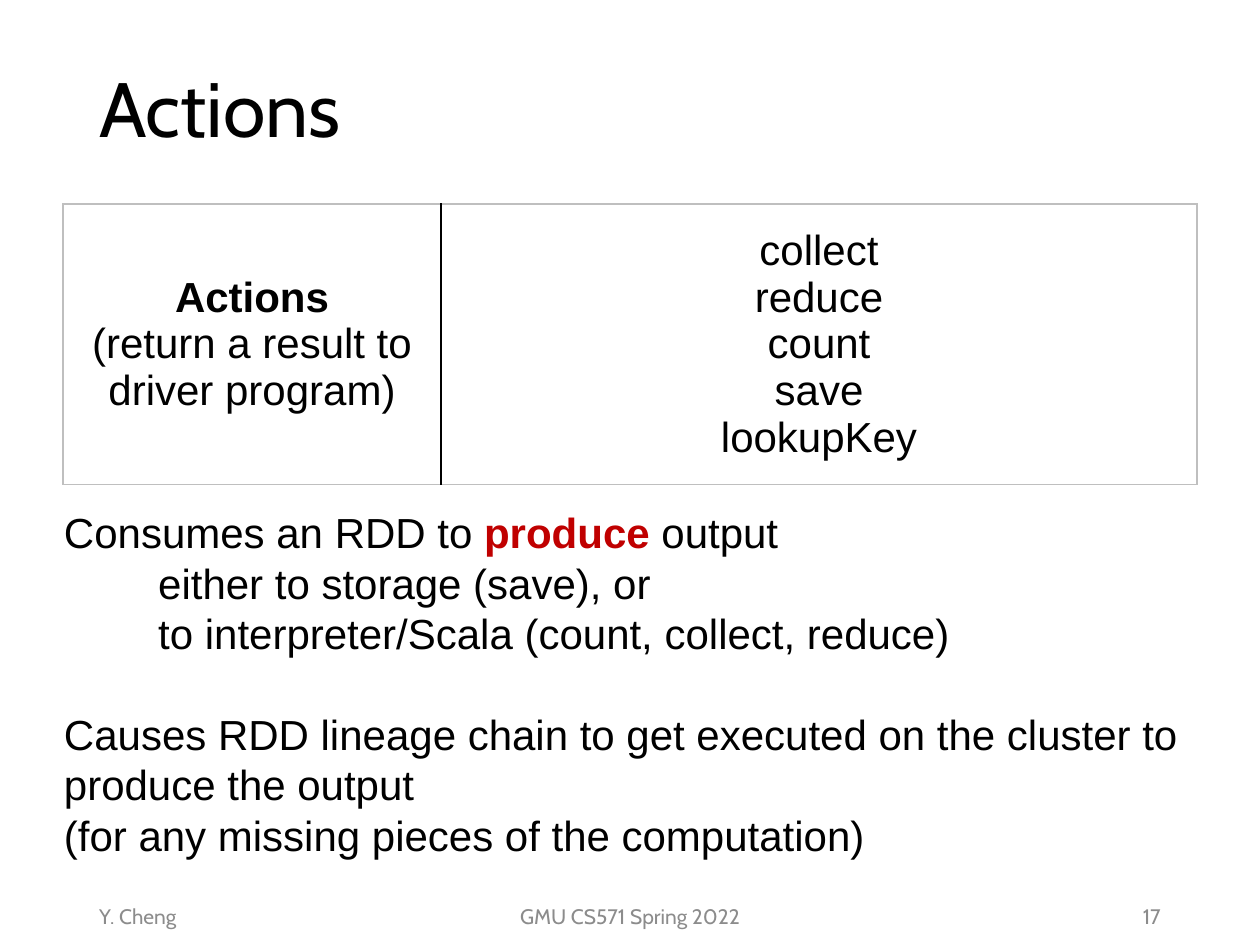
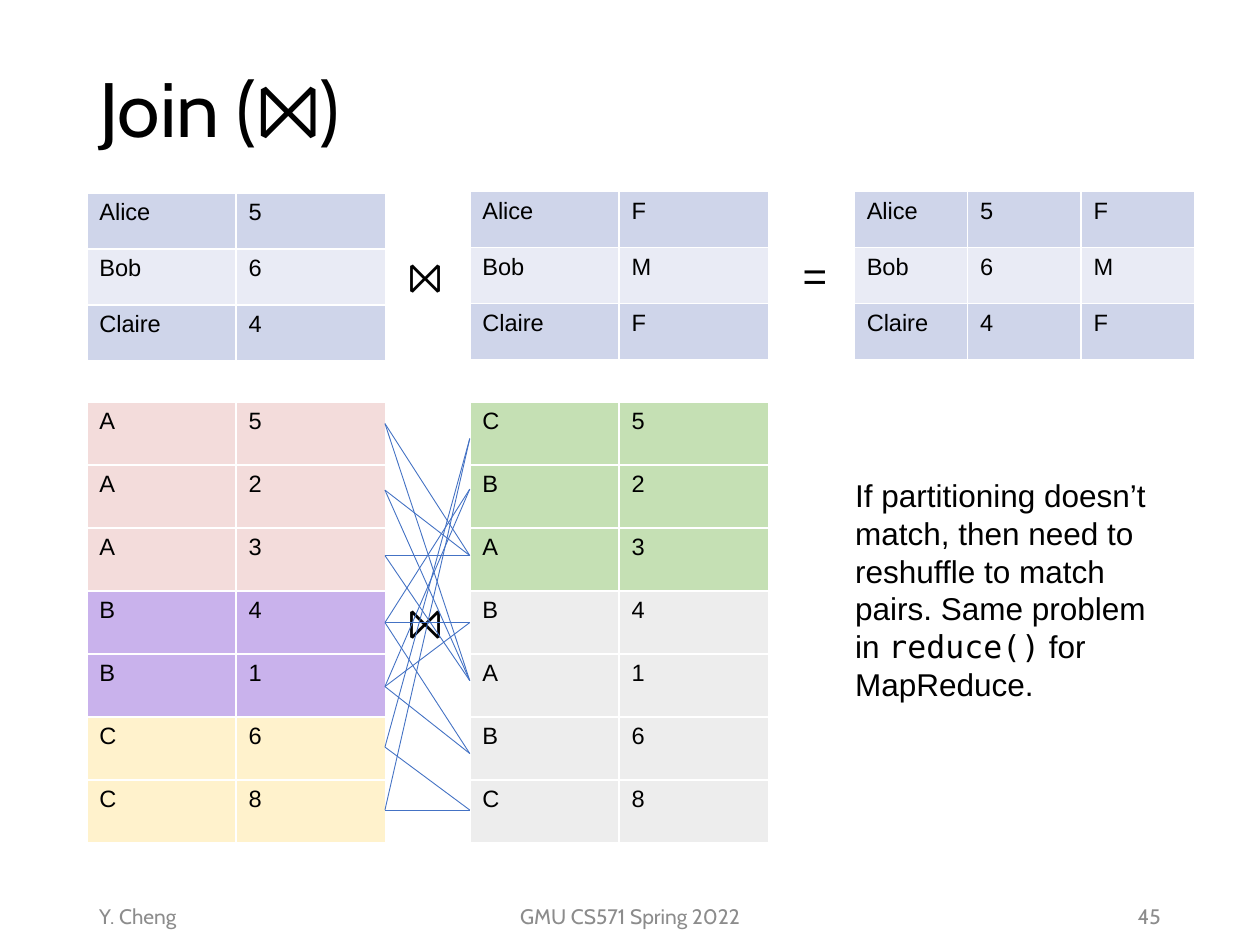
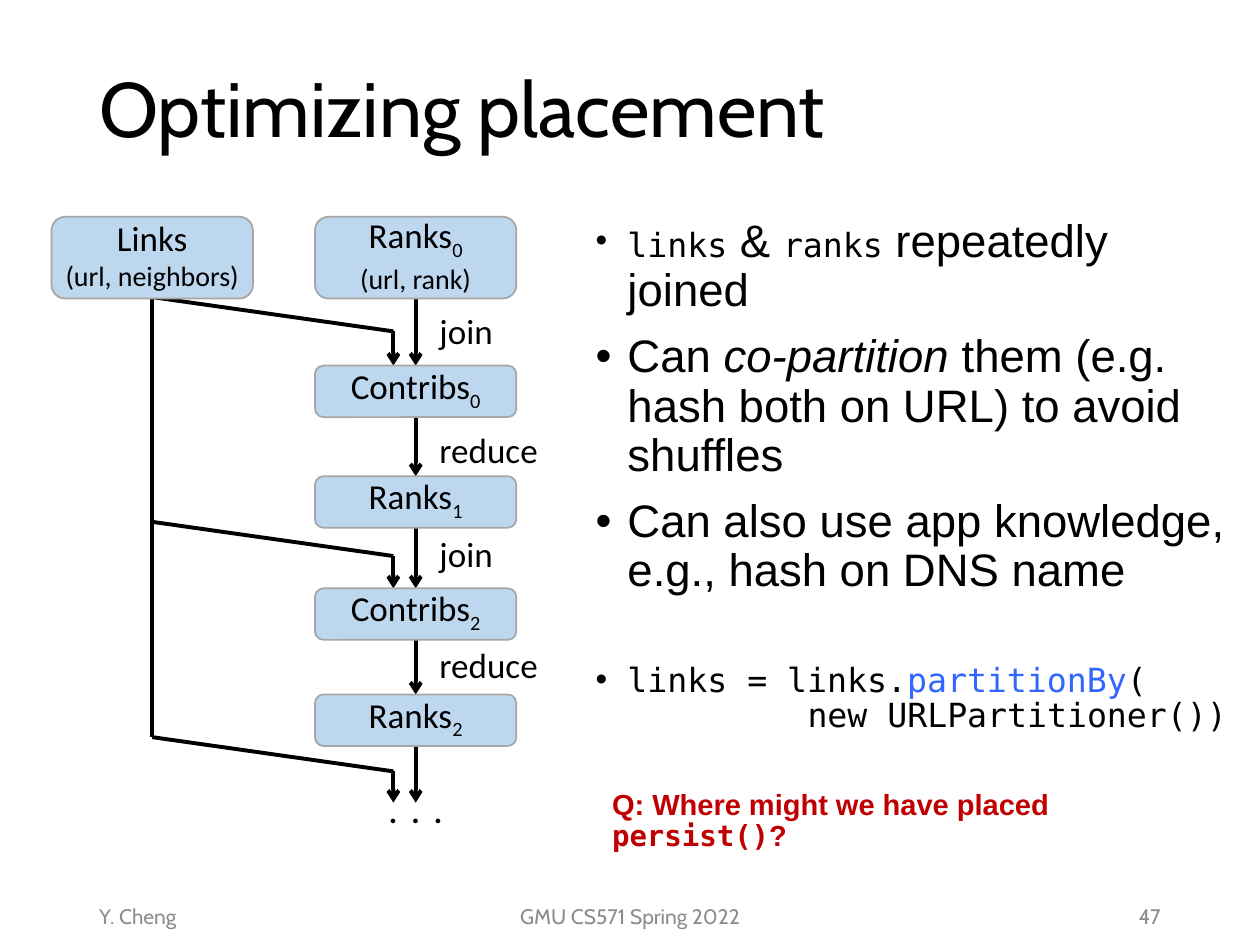
from lxml.etree import SubElement
from pptx import Presentation
from pptx.dml.color import RGBColor
from pptx.enum.shapes import MSO_CONNECTOR, MSO_SHAPE
from pptx.enum.text import MSO_ANCHOR, PP_ALIGN
from pptx.oxml.ns import qn
from pptx.util import Cm, Pt

COLORS = {
    "black": "000000", "white": "FFFFFF", "footer": "8C8C8C", "red": "C00000",
    "code": "3366FF", "frame": "BFBFBF", "dark band": "CFD5EA",
    "light band": "E9EBF5", "pink": "F3DCDB", "purple": "C9B2EC",
    "yellow": "FFF2CC", "green": "C5E0B4", "gray": "EDEDED",
    "join line": "4472C4", "node": "BDD7EE", "node line": "A6A6A6",
}
MONO = "DejaVu Sans Mono"


def write(para, text, size=24, font="Arial", color="black", bold=False,
          italic=False, subscript=False, tracking=0):
    for number, line in enumerate(text.split("\n")):
        if number:
            para.add_line_break()
        span = para.add_run()
        span.text = line
        span.font.size = Pt(size)
        span.font.name = font
        span.font.bold = bold
        span.font.italic = italic
        span.font.color.rgb = RGBColor.from_string(COLORS[color])
        if subscript:
            span.font._element.set("baseline", "-25000")
        if tracking:
            span.font._element.set("spc", str(tracking))


def connect(page, start, end, color="black", width=2.25, arrow=False):
    line = page.shapes.add_connector(
        MSO_CONNECTOR.STRAIGHT, Cm(start[0]), Cm(start[1]), Cm(end[0]), Cm(end[1]))
    line.line.color.rgb = RGBColor.from_string(COLORS[color])
    line.line.width = Pt(width)
    if arrow:
        SubElement(line.line._get_or_add_ln(), qn("a:tailEnd"), type="arrow")
    SubElement(line._element.spPr, qn("a:effectLst"))


deck = Presentation()
deck.slide_width, deck.slide_height = Cm(25.4), Cm(19.05)

pages = []
for title, number in [("Actions", "17"), ("Join (⨝)", "45"), ("Optimizing placement", "47")]:
    page = deck.slides.add_slide(deck.slide_layouts[5])
    pages.append(page)
    heading = page.shapes.title
    heading.left, heading.top, heading.width, heading.height = Cm(1.75), Cm(0.43), Cm(21.9), Cm(3.68)
    heading.text_frame.vertical_anchor = MSO_ANCHOR.MIDDLE
    para = heading.text_frame.paragraphs[0]
    para.alignment = PP_ALIGN.LEFT
    para.line_spacing = 0.9
    write(para, title, size=44, font="Cabin")
    for text, left, width, alignment in [
        ("Y. Cheng", 1.75, 5.72, PP_ALIGN.LEFT),
        ("GMU CS571 Spring 2022", 8.41, 8.59, PP_ALIGN.CENTER),
        (number, 17.93, 5.72, PP_ALIGN.RIGHT),
    ]:
        box = page.shapes.add_textbox(Cm(left), Cm(17.96), Cm(width), Cm(1.02))
        box.text_frame.word_wrap = True
        box.text_frame.vertical_anchor = MSO_ANCHOR.MIDDLE
        para = box.text_frame.paragraphs[0]
        para.alignment = alignment
        write(para, text, size=12, font="Cabin", color="footer")

actions_page, join_page, placement_page = pages

actions = actions_page.shapes.add_table(1, 2, Cm(1.27), Cm(4.11), Cm(22.86), Cm(5.66)).table
actions.first_row = actions.horz_banding = False
for index, (width, lines) in enumerate([
    (7.62, ["Actions", "(return a result to driver program)"]),
    (15.24, ["collect", "reduce", "count\nsave", "lookupKey"]),
]):
    actions.columns[index].width = Cm(width)
    cell = actions.cell(0, index)
    cell.vertical_anchor = MSO_ANCHOR.MIDDLE
    for row, line in enumerate(lines):
        para = cell.text_frame.add_paragraph() if row else cell.text_frame.paragraphs[0]
        para.alignment = PP_ALIGN.CENTER
        write(para, line, bold=line == "Actions")
    inner_edge = ["lnR", "lnL"][index]
    for edge in ["lnL", "lnR", "lnT", "lnB"]:
        border = SubElement(cell._tc.get_or_add_tcPr(), qn("a:" + edge), w=str(Pt(1)))
        fill = SubElement(border, qn("a:solidFill"))
        SubElement(fill, qn("a:srgbClr"), val=COLORS["black" if edge == inner_edge else "frame"])
    cell.fill.background()

summary = actions_page.shapes.add_shape(
    MSO_SHAPE.RECTANGLE, Cm(1.04), Cm(10.06), Cm(23.55), Cm(7.42))
summary.shadow.inherit = False
summary.fill.solid()
summary.fill.fore_color.rgb = RGBColor.from_string(COLORS["white"])
summary.line.color.rgb = RGBColor.from_string(COLORS["white"])
summary.line.width = Pt(1)
summary.text_frame.vertical_anchor = MSO_ANCHOR.MIDDLE
for index, (text, indent, gap) in enumerate([
    ("Consumes an RDD to ", 0, 0),
    ("either to storage (save), or", 1.9, 0),
    ("to interpreter/Scala (count, collect, reduce)", 1.9, 0),
    ("Causes RDD lineage chain to get executed on the cluster to produce the output", 0, 28.8),
    ("(for any missing pieces of the computation)", 0, 0),
]):
    para = summary.text_frame.add_paragraph() if index else summary.text_frame.paragraphs[0]
    para.alignment = PP_ALIGN.LEFT
    para.space_before = Pt(gap)
    para._p.get_or_add_pPr().set("marL", str(Cm(indent)))
    write(para, text)
    if index == 0:
        write(para, "produce", color="red", bold=True)
        write(para, " output")

bands = ["dark band", "light band", "dark band"]
left_keys, right_keys = "AAABBCC", "CBABABC"
for left, top, width, row_height, rows, fills in [
    (1.75, 3.89, 6.02, 1.13, ["Alice 5", "Bob 6", "Claire 4"], bands),
    (9.47, 3.86, 6.02, 1.13, ["Alice F", "Bob M", "Claire F"], bands),
    (17.22, 3.86, 6.86, 1.13, ["Alice 5 F", "Bob 6 M", "Claire 4 F"], bands),
    (1.75, 8.1, 6.02, 1.27, [" ".join(pair) for pair in zip(left_keys, "5234168")],
     ["pink"] * 3 + ["purple"] * 2 + ["yellow"] * 2),
    (9.47, 8.1, 6.02, 1.27, [" ".join(pair) for pair in zip(right_keys, "5234168")],
     ["green"] * 3 + ["gray"] * 4),
]:
    table = join_page.shapes.add_table(
        len(rows), len(rows[0].split()), Cm(left), Cm(top), Cm(width), Cm(row_height * len(rows))).table
    table.first_row = table.horz_banding = False
    for row, (values, fill) in enumerate(zip(rows, fills)):
        for column, value in enumerate(values.split()):
            cell = table.cell(row, column)
            cell.fill.solid()
            cell.fill.fore_color.rgb = RGBColor.from_string(COLORS[fill])
            write(cell.text_frame.paragraphs[0], value, size=13.5)

for symbol, left, top in [("⨝", 7.98, 4.93), ("=", 15.93, 4.9), ("⨝", 7.98, 11.91)]:
    box = join_page.shapes.add_textbox(Cm(left), Cm(top), Cm(1.27), Cm(1.27))
    box.text_frame.word_wrap = True
    write(box.text_frame.paragraphs[0], symbol)

left_ends = [8.54, 9.88, 11.2, 12.55, 13.84, 15.06, 16.33]
right_ends = [8.84, 9.86, 11.2, 12.55, 13.72, 15.19, 16.33]
for left_key, start in zip(left_keys, left_ends):
    for right_key, end in zip(right_keys, right_ends):
        if left_key == right_key:
            connect(join_page, (7.76, start), (9.47, end), color="join line", width=0.5)

note = join_page.shapes.add_textbox(Cm(16.99), Cm(9.47), Cm(6.65), Cm(4.88))
note.text_frame.word_wrap = True
para = note.text_frame.paragraphs[0]
write(para, "If partitioning doesn’t match, then need to reshuffle to match pairs. Same problem in ", size=18)
write(para, "reduce()", size=18, font=MONO)
write(para, " for MapReduce.", size=18)

bullets = placement_page.shapes.add_textbox(Cm(11.76), Cm(4.27), Cm(13.41), Cm(11.73))
bullets.text_frame.word_wrap = True
plain, code = {"size": 26}, {"size": 19, "font": MONO}
for index, (spans, gap, margin, bullet) in enumerate([
    ([("links", code), (" & ", plain), ("ranks", code), (" repeatedly joined", plain)], 10, 0.64, True),
    ([("Can ", plain), ("co-partition", {"size": 26, "italic": True}),
      (" them (e.g. hash both on URL) to avoid shuffles", plain)], 10, 0.64, True),
    ([("Can also use app knowledge, e.g., hash on DNS name", plain)], 10, 0.64, True),
    ([("links = links.", code), ("partitionBy", {**code, "color": "code"}), ("(", code)], 38, 0.64, True),
    ([("new URLPartitioner())", code)], 0, 4.27, False),
]):
    para = bullets.text_frame.add_paragraph() if index else bullets.text_frame.paragraphs[0]
    para.line_spacing = 0.9
    para.space_before = Pt(gap)
    settings = para._p.get_or_add_pPr()
    settings.set("marL", str(Cm(margin)))
    if bullet:
        settings.set("indent", str(Cm(-margin)))
        SubElement(settings, qn("a:buFont"), typeface="Arial")
        SubElement(settings, qn("a:buChar"), char="•")
    for text, style in spans:
        write(para, text, **style)

trunk, center, branch_end = 3.07, 8.38, 7.93
connect(placement_page, (trunk, 6.02), (trunk, 14.86))
for top, tip in [(5.99, 7.37), (10.52, 11.86), (14.86, 16.18)]:
    connect(placement_page, (trunk, top), (branch_end, top + 0.69))
    connect(placement_page, (branch_end, top + 0.69), (branch_end, tip), arrow=True)
for bottom, tip in [(6.02, 7.37), (8.41, 9.6), (10.64, 11.86), (12.9, 14), (15.04, 16.18)]:
    connect(placement_page, (center, bottom), (center, tip), arrow=True)

for name, index, detail, left, top, height in [
    ("Links", "", "(url, neighbors)", 1.04, 4.37, 1.65),
    ("Ranks", "0", "(url, rank)", 6.35, 4.37, 1.65),
    ("Contribs", "0", "", 6.35, 7.37, 1.04),
    ("Ranks", "1", "", 6.35, 9.6, 1.04),
    ("Contribs", "2", "", 6.35, 11.86, 1.04),
    ("Ranks", "2", "", 6.35, 14, 1.04),
]:
    node = placement_page.shapes.add_shape(
        MSO_SHAPE.ROUNDED_RECTANGLE, Cm(left), Cm(top), Cm(4.06), Cm(height))
    node.shadow.inherit = False
    node.fill.solid()
    node.fill.fore_color.rgb = RGBColor.from_string(COLORS["node"])
    node.line.color.rgb = RGBColor.from_string(COLORS["node line"])
    node.line.width = Pt(1)
    frame = node.text_frame
    frame.margin_left = frame.margin_top = frame.margin_right = 0
    frame.margin_bottom = Cm(0.13)
    frame.vertical_anchor = MSO_ANCHOR.MIDDLE
    para = frame.paragraphs[0]
    para.alignment = PP_ALIGN.CENTER
    write(para, name, size=20, font="Calibri")
    if index:
        write(para, index, size=20, font="Calibri", subscript=True)
    if detail:
        para = frame.add_paragraph()
        para.alignment = PP_ALIGN.CENTER
        write(para, detail, size=16, font="Calibri")

for step, top, width in [("join", 6.12, 1.65), ("reduce", 8.51, 2.51),
                         ("join", 10.62, 1.65), ("reduce", 12.85, 2.51)]:
    label = placement_page.shapes.add_textbox(Cm(8.61), Cm(top), Cm(width), Cm(1.12))
    label.text_frame.word_wrap = False
    write(label.text_frame.paragraphs[0], step, size=20, font="Calibri")

dots = placement_page.shapes.add_textbox(Cm(7.06), Cm(15.85), Cm(2.64), Cm(1.02))
dots.text_frame.word_wrap = True
para = dots.text_frame.paragraphs[0]
para.alignment = PP_ALIGN.CENTER
write(para, ". . .", size=18, font="Calibri", bold=True, tracking=200)

question = placement_page.shapes.add_textbox(Cm(12.09), Cm(15.8), Cm(12.75), Cm(1.27))
question.text_frame.word_wrap = True
para = question.text_frame.paragraphs[0]
para.line_spacing = 0.9
for text, font in [("Q: Where might we have placed ", "Arial"), ("persist()", MONO), ("?", "Arial")]:
    write(para, text, size=16.6, font=font, color="red", bold=True)

deck.save("out.pptx")
